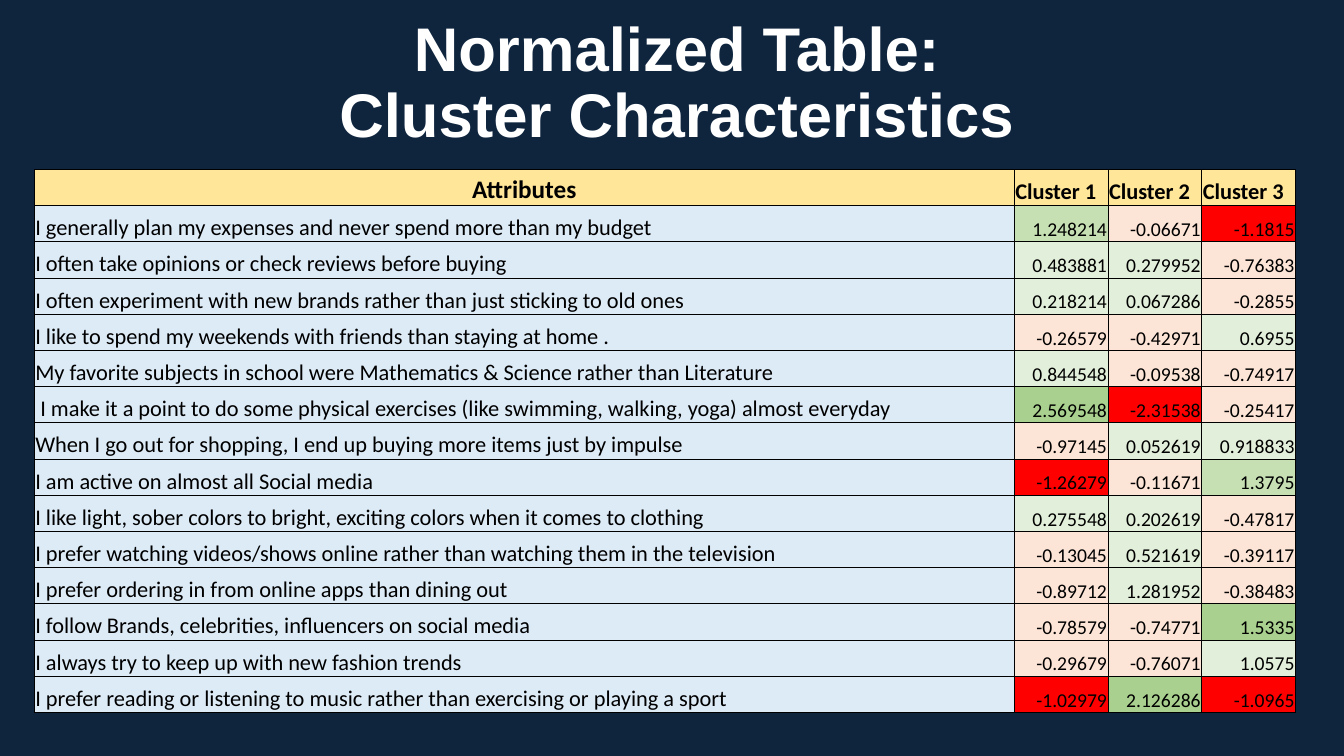
import pptx
import pptx.util
import pptx.dml.color
import pptx.enum.text
import pptx.oxml
import pptx.oxml.ns

Inches = pptx.util.Inches
Pt = pptx.util.Pt
ALIGN = pptx.enum.text.PP_ALIGN
ANCHOR = pptx.enum.text.MSO_ANCHOR

COLORS = {
    "back": "0F253E", "title": "FFFFFF", "text": "000000", "line": "000000",
    "head": "FFE699", "label": "DDEBF7",
    "r": "FF0000", "p": "FCE4D6", "l": "E2EFDA", "m": "C6E0B4", "d": "A9D08E",
}

HEADS = ["Attributes", "Cluster 1", "Cluster 2", "Cluster 3"]

# Attribute, three scores, and the tint of each score:
# r red, p peach, l light green, m mid green, d dark green
ROWS = [
    ("I generally plan my expenses and never spend more than my budget",
     "1.248214", "-0.06671", "-1.1815", "mpr"),
    ("I often take opinions or check reviews before buying",
     "0.483881", "0.279952", "-0.76383", "llp"),
    ("I often experiment with new brands rather than just sticking to old ones",
     "0.218214", "0.067286", "-0.2855", "llp"),
    ("I like to spend my weekends with friends than staying at home .",
     "-0.26579", "-0.42971", "0.6955", "ppl"),
    ("My favorite subjects in school were Mathematics & Science rather than Literature",
     "0.844548", "-0.09538", "-0.74917", "lpp"),
    (" I make it a point to do some physical exercises (like swimming, walking, yoga) almost everyday",
     "2.569548", "-2.31538", "-0.25417", "drp"),
    ("When I go out for shopping, I end up buying more items just by impulse",
     "-0.97145", "0.052619", "0.918833", "pll"),
    ("I am active on almost all Social media",
     "-1.26279", "-0.11671", "1.3795", "rpm"),
    ("I like light, sober colors to bright, exciting colors when it comes to clothing",
     "0.275548", "0.202619", "-0.47817", "llp"),
    ("I prefer watching videos/shows online rather than watching them in the television",
     "-0.13045", "0.521619", "-0.39117", "plp"),
    ("I prefer ordering in from online apps than dining out",
     "-0.89712", "1.281952", "-0.38483", "plp"),
    ("I follow Brands, celebrities, influencers on social media",
     "-0.78579", "-0.74771", "1.5335", "ppd"),
    ("I always try to keep up with new fashion trends",
     "-0.29679", "-0.76071", "1.0575", "ppl"),
    ("I prefer reading or listening to music rather than exercising or playing a sport",
     "-1.02979", "2.126286", "-1.0965", "rdr"),
]


def paint(fill, name):
    fill.solid()
    fill.fore_color.rgb = pptx.dml.color.RGBColor.from_string(COLORS[name])


def style(para, font, size, bold, color, align):
    para.alignment = align
    for run in para.runs:
        run.font.name = font
        run.font.size = Pt(size)
        run.font.bold = bold
        paint(run.font.fill, color)


def border(cell):
    props = cell._tc.get_or_add_tcPr()
    space = pptx.oxml.ns.nsdecls("a")
    for spot, side in enumerate(("lnL", "lnR", "lnT", "lnB")):
        line = pptx.oxml.parse_xml(
            f'<a:{side} {space} w="{Pt(0.5)}"><a:solidFill>'
            f'<a:srgbClr val="{COLORS["line"]}"/></a:solidFill></a:{side}>')
        props.insert(spot, line)


def add_title(slide, left, top, width, height):
    box = slide.shapes.add_textbox(
        Inches(left), Inches(top), Inches(width), Inches(height))
    frame = box.text_frame
    frame.word_wrap = True
    frame.vertical_anchor = ANCHOR.MIDDLE
    para = frame.paragraphs[0]
    para.text = "Normalized Table:\vCluster Characteristics"
    para.line_spacing = 0.9
    style(para, "Arial", 44, True, "title", ALIGN.CENTER)


def fill_cell(cell, text, tint, size, bold, align):
    cell.margin_left = cell.margin_right = cell.margin_top = Inches(0.01)
    cell.margin_bottom = 0
    cell.vertical_anchor = ANCHOR.BOTTOM
    paint(cell.fill, tint)
    border(cell)
    para = cell.text_frame.paragraphs[0]
    para.text = text
    style(para, "Calibri", size, bold, "text", align)


def add_scores(slide, left, top, width, height):
    count = len(ROWS) + 1
    table = slide.shapes.add_table(
        count, len(HEADS), Inches(left), Inches(top),
        Inches(width), Inches(height)).table
    table.first_row = table.horz_banding = False

    # Narrow score columns; the attribute takes the rest
    score = 0.93
    table.columns[0].width = Inches(width - 3 * score)
    for col in range(1, 4):
        table.columns[col].width = Inches(score)
    for row in table.rows:
        row.height = Inches(height / count)

    # Header
    for col, head in enumerate(HEADS):
        size, align = (16, ALIGN.LEFT) if col else (18, ALIGN.CENTER)
        fill_cell(table.cell(0, col), head, "head", size, True, align)

    # Attributes and scores
    for row, (label, *scores, tints) in enumerate(ROWS, 1):
        fill_cell(table.cell(row, 0), label, "label", 16, False, ALIGN.LEFT)
        for col, (value, tint) in enumerate(zip(scores, tints), 1):
            fill_cell(table.cell(row, col), value, tint, 14, False, ALIGN.RIGHT)


def main():
    deck = pptx.Presentation()
    deck.slide_width = Inches(13.33)
    deck.slide_height = Inches(7.5)
    slide = deck.slides.add_slide(deck.slide_layouts[6])
    paint(slide.background.fill, "back")
    add_title(slide, 2.57, 0.25, 8.29, 1.18)
    add_scores(slide, 0.34, 1.68, 12.51, 5.39)
    deck.save("out.pptx")


if __name__ == "__main__":
    main()
